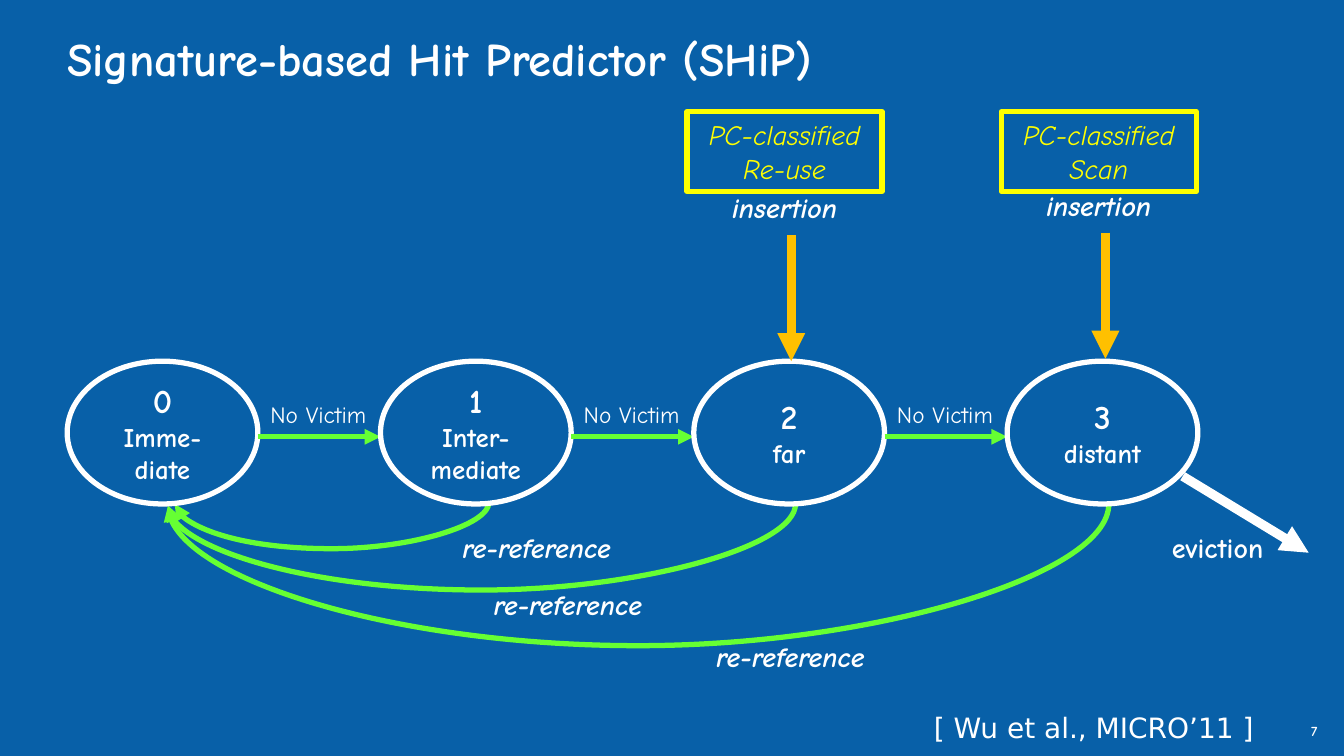
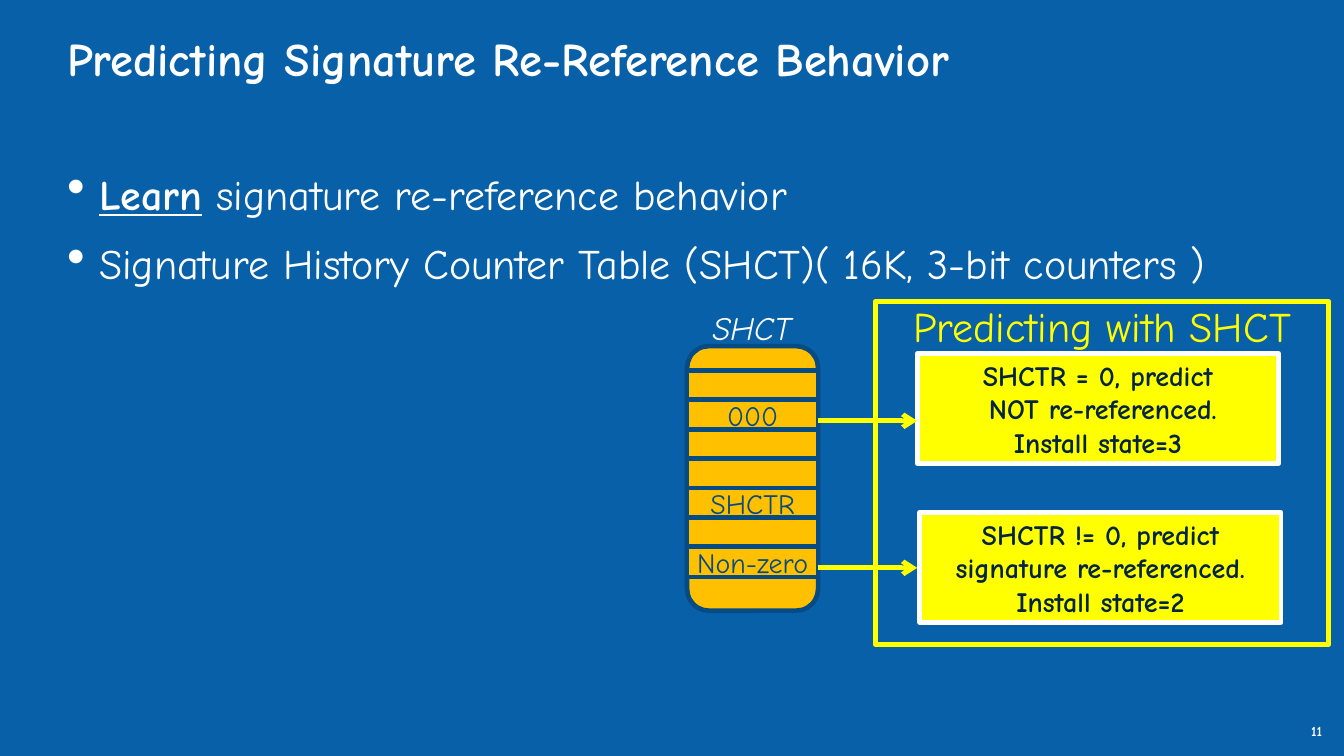
from lxml import etree
from pptx import Presentation
from pptx import util as u
from pptx.dml.color import RGBColor
from pptx.enum import shapes, text
from pptx.oxml import ns

BLUE = RGBColor(0x08, 0x60, 0xA8)
NAVY = RGBColor(0x06, 0x4B, 0x84)
INK = RGBColor(0x03, 0x25, 0x42)
WHITE = RGBColor(0xFF, 0xFF, 0xFF)
GREEN = RGBColor(0x66, 0xFF, 0x33)
AMBER = RGBColor(0xFF, 0xC0, 0x00)
YELLOW = RGBColor(0xFF, 0xFF, 0x00)
FONT = "Comic Neue"
PAD = (0.14, 0.07)
THIN = (0.1, 0.05)
RECT = shapes.MSO_SHAPE.RECTANGLE
OVAL = shapes.MSO_SHAPE.OVAL
ROUND = shapes.MSO_SHAPE.ROUNDED_RECTANGLE
LEFT = text.PP_ALIGN.LEFT
CENTER = text.PP_ALIGN.CENTER
TOP = text.MSO_ANCHOR.TOP
MIDDLE = text.MSO_ANCHOR.MIDDLE


def inch(*sizes):
    return [u.Inches(size) for size in sizes]


def style(run, size, color, bold=False, italic=False, font=FONT):
    run.font.name = font
    run.font.size = u.Pt(size)
    run.font.color.rgb = color
    run.font.bold = bold
    run.font.italic = italic


def write(shape, words, size, color, bold=False, italic=False, font=FONT,
          align=CENTER, anchor=TOP, pad=PAD, wrap=False):
    frame = shape.text_frame
    frame.text = words
    frame.word_wrap = wrap
    frame.vertical_anchor = anchor
    frame.margin_left = frame.margin_right = u.Inches(pad[0])
    frame.margin_top = frame.margin_bottom = u.Inches(pad[1])
    for para in frame.paragraphs:
        para.alignment = align
        for run in para.runs:
            style(run, size, color, bold, italic, font)
    return frame


def label(slide, box, words, size, color=WHITE, **look):
    return write(slide.shapes.add_textbox(*inch(*box)), words, size, color, **look)


def block(slide, kind, box, line, width, fill=None):
    shape = slide.shapes.add_shape(kind, *inch(*box))
    shape.shadow.inherit = False
    if fill is None:
        shape.fill.background()
    else:
        shape.fill.solid()
        shape.fill.fore_color.rgb = fill
    shape.line.color.rgb = line
    shape.line.width = u.Pt(width)
    return shape


def arrow(slide, ends, color, width, head="triangle", kind=shapes.MSO_CONNECTOR.STRAIGHT):
    link = slide.shapes.add_connector(kind, *inch(*ends))
    link.line.color.rgb = color
    link.line.width = u.Pt(width)
    tail = etree.SubElement(link.line._get_or_add_ln(), ns.qn("a:tailEnd"))
    tail.set("type", head)
    etree.SubElement(link._element.spPr, ns.qn("a:effectLst"))
    return link


def curve(slide, start, end, top, depth):
    thick = 0.02
    mid, span = (start + end) / 2, start - end
    y = top + thick / 2
    link = arrow(slide, (mid - thick / 2, y - span / 2, mid + thick / 2, y + span / 2),
                 GREEN, 4.5, kind=shapes.MSO_CONNECTOR.CURVE)
    props = link._element.spPr
    props.find(ns.qn("a:xfrm")).set("rot", "5400000")
    guide = etree.SubElement(props.find(ns.qn("a:prstGeom")).find(ns.qn("a:avLst")), ns.qn("a:gd"))
    guide.set("name", "adj1")
    guide.set("fmla", f"val {round(depth / thick * 100000)}")


def page(deck, title, number):
    slide = deck.slides.add_slide(deck.slide_layouts[6])
    label(slide, (0.8, 0.36, 14.41, 1.17), title, 40, bold=True, align=LEFT, pad=(0, 0), wrap=True)
    label(slide, (15.61, 8.6, 0.39, 0.4), number, 12, bold=True, align=LEFT, pad=(0, 0), wrap=True)
    return slide


def states(slide, x, y):
    wide, high, step = 2.27, 1.7, 3.73
    names = ("0\nImme-\ndiate", "1\nInter-\nmediate", "2\nfar", "3\ndistant")
    for i, name in enumerate(names):
        left = x + i * step
        oval = block(slide, OVAL, (left, y, wide, high), WHITE, 4.5)
        frame = write(oval, name, 23, WHITE, bold=True, anchor=MIDDLE, wrap=True)
        frame.paragraphs[0].runs[0].font.size = u.Pt(29)
        if i < len(names) - 1:
            arrow(slide, (left + wide, y + 0.9, left + step, y + 0.9), GREEN, 4.5)
            label(slide, (left + 2.2, y + 0.39, 1.58, 0.48), "No Victim", 20)


def returns(slide):
    for start, end, top, depth, x, y in (
        (5.82, 2.08, 5.98, 0.55, 5.17, 6.25),
        (9.47, 2, 6, 1.02, 5.54, 6.92),
        (13.2, 2, 6, 1.68, 8.19, 7.54),
    ):
        curve(slide, start, end, top, depth)
        label(slide, (x, y, 2.44, 0.55), "re-reference", 24, bold=True, italic=True)


def insert(slide, x, y, drop, kind):
    box = block(slide, RECT, (x, y, 2.32, 0.95), YELLOW, 4.5)
    write(box, "PC-classified\n" + kind, 24, YELLOW, italic=True)
    label(slide, (x + 0.32, y + drop, 1.68, 0.55), "insertion", 24, bold=True, italic=True)
    top = y + drop + 0.6
    arrow(slide, (x + 1.24, top, x + 1.24, top + 1.5), AMBER, 8)


def predictor(deck):
    slide = page(deck, "Signature-based Hit Predictor (SHiP)", "7")
    returns(slide)
    states(slide, 0.8, 4.3)
    insert(slide, 8.18, 1.33, 0.87, "Re-use")
    insert(slide, 11.92, 1.33, 0.84, "Scan")
    arrow(slide, (14.08, 5.67, 15.58, 6.58), WHITE, 8)
    label(slide, (13.74, 6.25, 1.51, 0.55), "eviction", 24, bold=True)
    label(slide, (11.02, 8.41, 4.17, 0.5), "[ Wu et al., MICRO’11 ]", 24,
          font="DejaVu Sans", align=LEFT, pad=THIN, wrap=True)


def bullets(slide, box):
    frame = label(slide, box, "Learn\nSignature History Counter Table (SHCT)( 16K, 3-bit counters )",
                  36, align=LEFT, pad=(0, 0), wrap=True)
    first, last = frame.paragraphs
    for para in (first, last):
        props = para._p.get_or_add_pPr()
        props.set("marL", str(u.Inches(0.38)))
        props.set("indent", str(u.Inches(-0.38)))
        etree.SubElement(props, ns.qn("a:buSzPct")).set("val", "125000")
        etree.SubElement(props, ns.qn("a:buChar")).set("char", "•")
    last.space_before = u.Pt(16.6)
    first.runs[0].font.bold = True
    first.runs[0].font.underline = True
    rest = first.add_run()
    rest.text = " signature re-reference behavior"
    style(rest, 36, WHITE)


def table(slide, x, y):
    block(slide, ROUND, (x, y, 1.56, 3.15), NAVY, 4, AMBER)
    label(slide, (x + 0.09, y - 0.52, 1.36, 0.62), "SHCT", 28, italic=True)
    for i, word in enumerate(("", "000", "", "", "SHCTR", "", "Non-zero")):
        row = block(slide, RECT, (x, y + 0.29 + 0.35 * i, 1.56, 0.36), NAVY, 4, AMBER)
        if word:
            write(row, word, 24, NAVY, anchor=MIDDLE, pad=THIN)


def rules(slide, x, y):
    block(slide, RECT, (x, y, 5.4, 4.08), YELLOW, 4.5)
    label(slide, (x, y - 0.08, 5.4, 0.75), "Predicting with SHCT", 36, YELLOW)
    for left, top, mid, words in (
        (0.5, 0.62, 1.42, "SHCTR = 0, predict\n NOT re-referenced.\nInstall state=3"),
        (0.53, 2.51, 3.17, "SHCTR != 0, predict\nsignature re-referenced.\nInstall state=2"),
    ):
        card = block(slide, RECT, (x + left, y + top, 4.3, 1.31), WHITE, 4, YELLOW)
        write(card, words, 24, INK, bold=True, anchor=MIDDLE, pad=THIN)
        arrow(slide, (x - 0.68, y + mid, x + 0.5, y + mid), YELLOW, 4, "arrow")


def behavior(deck):
    slide = page(deck, "Predicting Signature Re-Reference Behavior", "11")
    bullets(slide, (0.8, 2, 15.2, 2.02))
    table(slide, 8.18, 4.12)
    rules(slide, 10.42, 3.59)


def main():
    deck = Presentation()
    deck.slide_width, deck.slide_height = inch(16, 9)
    back = deck.slide_master.background.fill
    back.solid()
    back.fore_color.rgb = BLUE
    predictor(deck)
    behavior(deck)
    deck.save("out.pptx")


if __name__ == "__main__":
    main()
